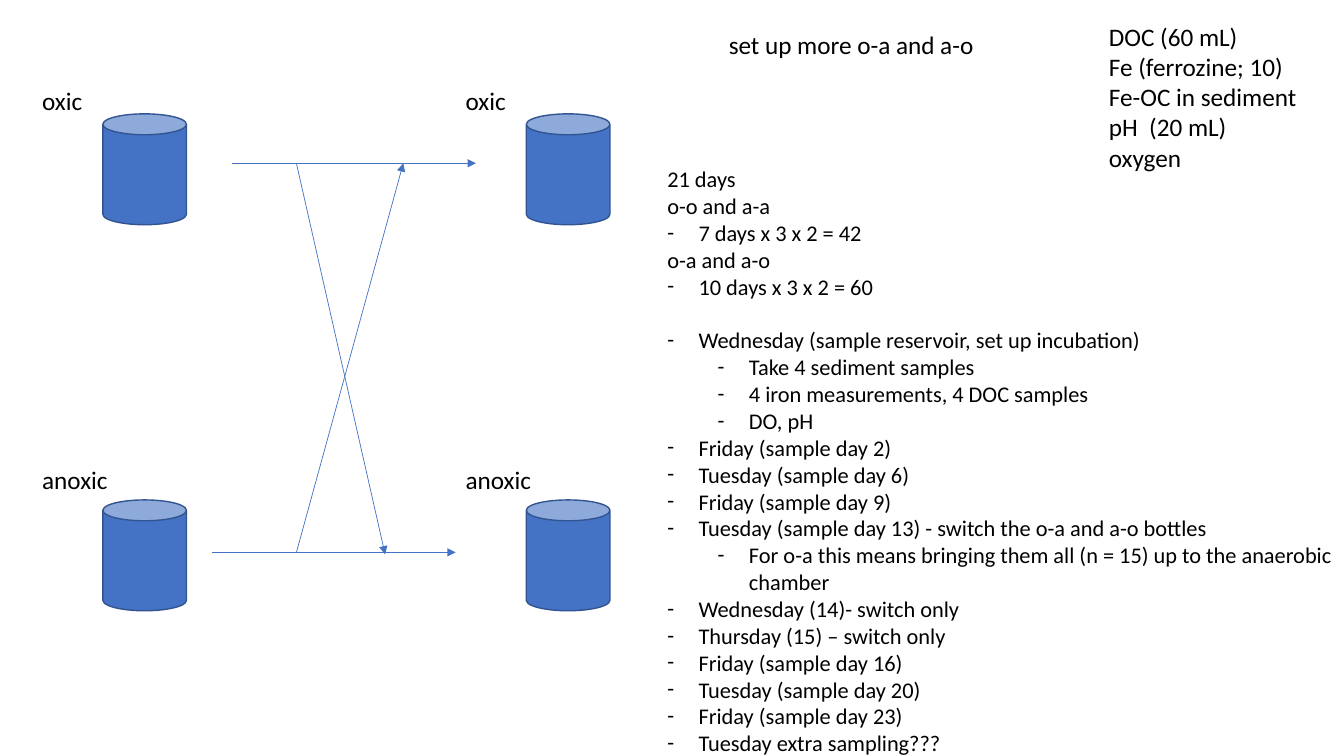
from pptx import Presentation
from pptx.dml.color import RGBColor
from pptx.enum.shapes import MSO_CONNECTOR as CONN, MSO_SHAPE as SHAPE
from pptx.enum.text import MSO_AUTO_SIZE as AUTO
from pptx.oxml.ns import qn
from pptx.util import Inches, Pt
from lxml.etree import SubElement


def rgb(color):
    return RGBColor.from_string(color)


def add_text(s, box, lines, size=18, wrap=False):
    tf = s.shapes.add_textbox(*map(Inches, box)).text_frame
    tf.word_wrap = wrap
    tf.auto_size = AUTO.SHAPE_TO_FIT_TEXT
    font = {"name": "Calibri", "size": Pt(size)}
    for i, line in enumerate(lines):
        p = tf.paragraphs[0] if i == 0 else tf.add_paragraph()
        r = p.add_run()
        r.text = line
        for key, value in font.items():
            setattr(r.font, key, value)
        r.font.color.rgb = rgb("000000")
    return tf


prs = Presentation()
prs.slide_width, prs.slide_height = Inches(13.33), Inches(7.5)
s = prs.slides.add_slide(prs.slide_layouts[6])

BLUE = "4472C4"
LABEL_X, COL_STEP = 0.32, 4.2
ROWS = [("oxic", 0.8, 1.13, 0.6), ("anoxic", 4.56, 4.96, 0.86)]
for col in range(2):
    x = LABEL_X + col * COL_STEP
    for label, label_y, can_y, width in ROWS:
        can = s.shapes.add_shape(SHAPE.CAN, *map(Inches, (x + 0.7, can_y, 0.83, 1.1)))
        can.shadow.inherit = False
        can.fill.solid()
        can.fill.fore_color.rgb = rgb(BLUE)
        can.line.color.rgb = rgb("325491")
        can.line.width = Pt(1)
        add_text(s, (x, label_y, width, 0.4), [label])

OXIC_Y, ANOXIC_Y, CROSS_X = 1.62, 5.48, 2.94
ARROWS = [
    (2.3, OXIC_Y, 4.72, OXIC_Y),
    (2.1, ANOXIC_Y, 4.52, ANOXIC_Y),
    (CROSS_X, ANOXIC_Y, 4, OXIC_Y),
    (CROSS_X, OXIC_Y, 3.82, 5.5),
]
for ends in ARROWS:
    arrow = s.shapes.add_connector(CONN.STRAIGHT, *map(Inches, ends))
    arrow.line.color.rgb = rgb(BLUE)
    arrow.line.width = Pt(0.5)
    SubElement(arrow.line._get_or_add_ln(), qn("a:tailEnd"), type="triangle")
    SubElement(arrow._element.spPr, qn("a:effectLst"))

add_text(s, (10.9, 0.16, 2.08, 1.62), [
    "DOC (60 mL)",
    "Fe (ferrozine; 10)",
    "Fe-OC in sediment",
    "pH  (20 mL)",
    "oxygen",
])

PLAIN, ITEM, SUB = None, 0, 1
SCHEDULE = [
    (PLAIN, "21 days"),
    (PLAIN, "o-o and a-a"),
    (ITEM, "7 days x 3 x 2 = 42"),
    (PLAIN, "o-a and a-o"),
    (ITEM, "10 days x 3 x 2 = 60"),
    (ITEM, "Wednesday (sample reservoir, set up incubation)"),
    (SUB, "Take 4 sediment samples"),
    (SUB, "4 iron measurements, 4 DOC samples"),
    (SUB, "DO, pH"),
    (ITEM, "Friday (sample day 2)"),
    (ITEM, "Tuesday (sample day 6)"),
    (ITEM, "Friday (sample day 9)"),
    (ITEM, "Tuesday (sample day 13) - switch the o-a and a-o bottles"),
    (SUB, "For o-a this means bringing them all (n = 15) up to the anaerobic chamber"),
    (ITEM, "Wednesday (14)- switch only"),
    (ITEM, "Thursday (15) – switch only"),
    (ITEM, "Friday (sample day 16)"),
    (ITEM, "Tuesday (sample day 20)"),
    (ITEM, "Friday (sample day 23)"),
    (ITEM, "Tuesday extra sampling???"),
]
WEEKS_START = 5
tf = add_text(s, (6.52, 1.59, 6.79, 6.02), [line for _, line in SCHEDULE], 16, True)
for p, (level, _) in zip(tf.paragraphs, SCHEDULE):
    if level is not PLAIN:
        p.level = level
        pPr = p._p.get_or_add_pPr()
        pPr.set("marL", str(Inches(0.31 + level * 0.5)))
        pPr.set("indent", str(Inches(-0.31)))
        SubElement(pPr, qn("a:buFont"), typeface="Calibri")
        SubElement(pPr, qn("a:buChar"), char="-")
tf.paragraphs[WEEKS_START].space_before = Pt(19.2)

add_text(s, (7.13, 0.24, 2.66, 0.4), ["set up more o-a and a-o"])

prs.save("out.pptx")
